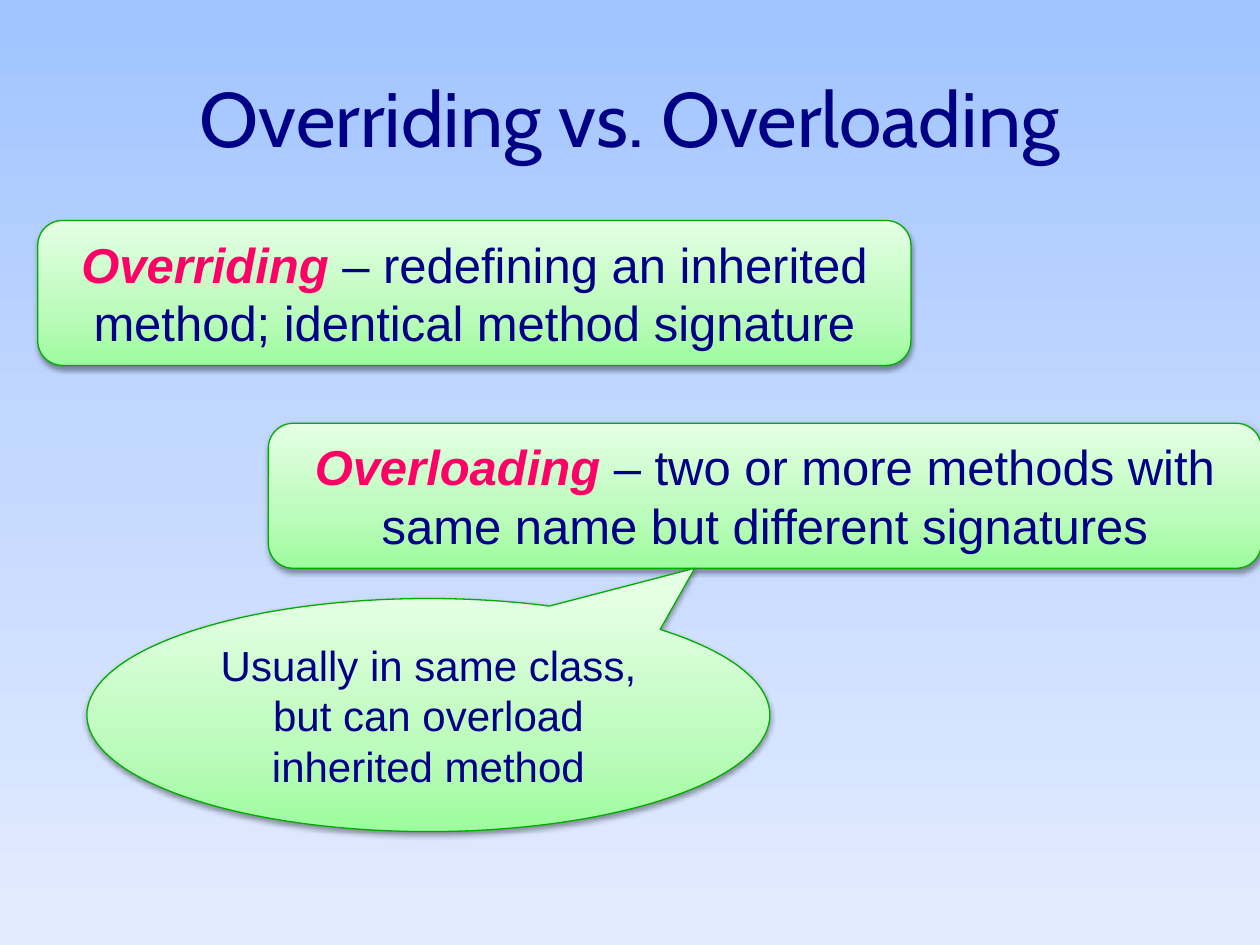
"""Build the slide that compares overriding with overloading."""
import copy

import lxml.etree
import pptx
import pptx.dml.color
import pptx.enum.shapes
import pptx.enum.text
import pptx.oxml.ns
import pptx.util

Inches, Pt = pptx.util.Inches, pptx.util.Pt
RGB = pptx.dml.color.RGBColor.from_string
SHAPE = pptx.enum.shapes.MSO_SHAPE
CENTER = pptx.enum.text.PP_ALIGN.CENTER
MIDDLE = pptx.enum.text.MSO_ANCHOR.MIDDLE
qn = pptx.oxml.ns.qn

COLORS = {"navy": "000086", "pink": "FF0066", "green": "00AC00", "shadow": "000000"}
SKY = [(0, "A0C4FF"), (0.5, "C5D9FF"), (1, "E3ECFF")]
MINT = [(0, "9DFC9D"), (0.35, "BBFBBB"), (1, "E4FFE4")]
PLAIN = {"size": Pt(28), "name": "Arial", "color": "navy", "bold": False, "italic": False}
TERM = {**PLAIN, "color": "pink", "bold": True, "italic": True}
NOTE = {**PLAIN, "size": Pt(24)}
TITLE = {**PLAIN, "size": Pt(44), "name": "Cabin"}


def set_gradient(fill, element, stops, angle):
    fill.gradient()
    fill.gradient_angle = angle
    gs_list = element.find(".//" + qn("a:gsLst"))
    gs_list.insert(1, copy.deepcopy(gs_list[0]))
    for stop, (position, color) in zip(fill.gradient_stops, stops):
        stop.position = position
        stop.color.rgb = RGB(color)


def write(tf, runs):
    tf.word_wrap = True
    tf.vertical_anchor = MIDDLE
    p = tf.paragraphs[0]
    p.alignment = CENTER
    for text, style in runs:
        r = p.add_run()
        r.text = text
        for key, value in style.items():
            if key == "color":
                r.font.color.rgb = RGB(COLORS[value])
            else:
                setattr(r.font, key, value)


prs = pptx.Presentation()
prs.slide_width, prs.slide_height = Inches(10), Inches(7.5)
s = prs.slides.add_slide(prs.slide_layouts[5])
set_gradient(s.background.fill, s.element, SKY, 270)

title = s.shapes.title
title.left, title.top = Inches(0.5), Inches(0.3)
title.width, title.height = Inches(9), Inches(1.25)
write(title.text_frame, [("Overriding vs. Overloading", TITLE)])

boxes = [
    (SHAPE.ROUNDED_RECTANGLE, (0.3, 1.75, 6.93, 1.15), [0.17],
     [("Overriding", TERM),
      (" – redefining an inherited method; identical method signature", PLAIN)]),
    (SHAPE.ROUNDED_RECTANGLE, (2.13, 3.36, 7.88, 1.15), [0.17],
     [("Overloading ", TERM),
      ("– two or more methods with same name but different signatures", PLAIN)]),
    (SHAPE.OVAL_CALLOUT, (0.69, 4.75, 5.42, 1.85), [0.39, -0.63],
     [("Usually in same class, but can overload inherited method", NOTE)]),
]
for kind, place, adjustments, runs in boxes:
    sp = s.shapes.add_shape(kind, *map(Inches, place))
    for i, value in enumerate(adjustments):
        sp.adjustments[i] = value
    set_gradient(sp.fill, sp.element, MINT, 90)
    sp.line.color.rgb = RGB(COLORS["green"])
    sp.line.width = Pt(0.75)
    sp.shadow.inherit = False
    effects = sp.element.spPr.find(qn("a:effectLst"))
    shadow = lxml.etree.SubElement(
        effects, qn("a:outerShdw"), blurRad=str(Pt(3.1)), dist=str(Pt(1.6)),
        dir="5400000", rotWithShape="0")
    color = lxml.etree.SubElement(shadow, qn("a:srgbClr"), val=COLORS["shadow"])
    lxml.etree.SubElement(color, qn("a:alpha"), val="38000")
    write(sp.text_frame, runs)
    sp.text_frame.auto_size = pptx.enum.text.MSO_AUTO_SIZE.SHAPE_TO_FIT_TEXT

prs.save("out.pptx")
